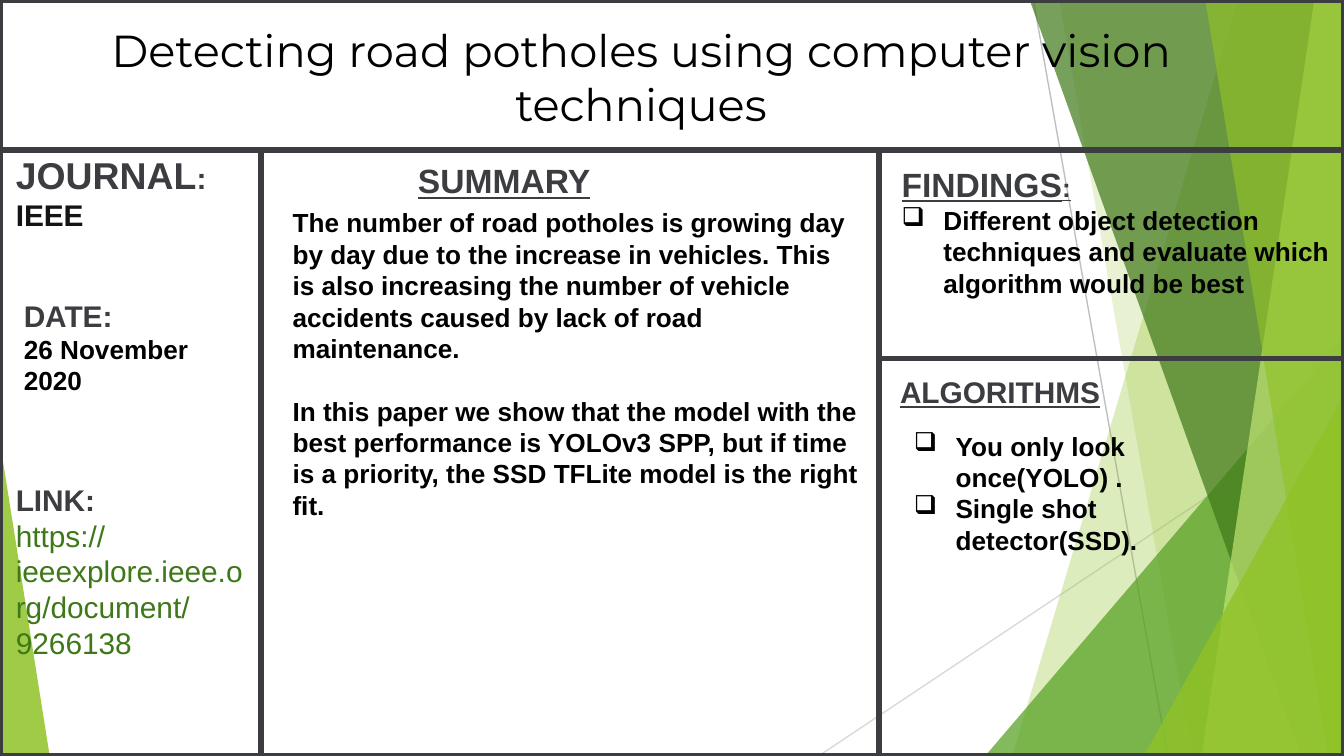
from lxml import etree
from pptx import Presentation
from pptx import util as u
from pptx.dml.color import RGBColor
from pptx.enum import shapes, text
from pptx.oxml.ns import qn

CHARCOAL = RGBColor(0x3C, 0x3D, 0x40)
INK = RGBColor(0x14, 0x14, 0x15)
BLACK = RGBColor(0, 0, 0)
LIME = RGBColor(0x90, 0xC2, 0x26)
GREEN = RGBColor(0x54, 0xA0, 0x21)
FOREST = RGBColor(0x3F, 0x78, 0x19)
PALE = RGBColor(0xC0, 0xE4, 0x74)
SILVER = RGBColor(0xBF, 0xBF, 0xBF)
MIST = RGBColor(0xD9, 0xD9, 0xD9)

WIDTH, HEIGHT = 25.4, 14.29
HEADER = 2.83
LEFT_RULE, RIGHT_RULE, MIDDLE_RULE = 4.93, 16.61, 6.78
INDENT = 0.79


def add_rule(slide, x1, y1, x2, y2, color=CHARCOAL, weight=3):
    rule = slide.shapes.add_connector(
        shapes.MSO_CONNECTOR.STRAIGHT, u.Cm(x1), u.Cm(y1), u.Cm(x2), u.Cm(y2))
    rule.line.color.rgb = color
    rule.line.width = u.Pt(weight)
    etree.SubElement(rule._element.spPr, qn("a:effectLst"))


def tint(facet, color, opacity):
    facet.shadow.inherit = False
    facet.line.fill.background()
    facet.fill.solid()
    facet.fill.fore_color.rgb = color
    swatch = facet._element.spPr.find(qn("a:solidFill"))[0]
    etree.SubElement(swatch, qn("a:alpha"), val=str(opacity * 1000))


def add_pane(slide, top_x, bottom_x, color, opacity):
    outline = slide.shapes.build_freeform(u.Cm(top_x), 0)
    corners = [(WIDTH, 0), (WIDTH, HEIGHT), (bottom_x, HEIGHT)]
    outline.add_line_segments([(u.Cm(x), u.Cm(y)) for x, y in corners], close=True)
    tint(outline.convert_to_shape(), color, opacity)


def add_wedge(slide, x, y, width, apex, color, opacity):
    wedge = slide.shapes.add_shape(
        shapes.MSO_SHAPE.ISOSCELES_TRIANGLE,
        u.Cm(x), u.Cm(y), u.Cm(width), u.Cm(HEIGHT - y))
    wedge.adjustments[0] = apex
    tint(wedge, color, opacity)


def add_box(slide, x, y, width, height, side=0.25, top=0.13):
    box = slide.shapes.add_textbox(u.Cm(x), u.Cm(y), u.Cm(width), u.Cm(height))
    frame = box.text_frame
    frame.word_wrap = True
    frame.margin_left = frame.margin_right = u.Cm(side)
    frame.margin_top = frame.margin_bottom = u.Cm(top)
    return frame


def write(frame, words, size=14, color=BLACK, font="Arial", bold=True, underline=False,
          centered=False, bullet=False, after=0, same_line=False):
    if same_line or not frame.paragraphs[0].runs:
        paragraph = frame.paragraphs[-1]
    else:
        paragraph = frame.add_paragraph()
    if bullet:
        props = paragraph._p.get_or_add_pPr()
        props.set("marL", str(u.Cm(INDENT)))
        props.set("indent", str(-u.Cm(INDENT)))
        etree.SubElement(props, qn("a:buChar"), char="❑")
    if centered:
        paragraph.alignment = text.PP_ALIGN.CENTER
    if after:
        paragraph.space_after = u.Pt(after)
    run = paragraph.add_run()
    run.text = words
    run.font.name = font
    run.font.size = u.Pt(size)
    run.font.bold = bold
    run.font.underline = underline
    run.font.color.rgb = color


def add_backdrop(slide):
    add_rule(slide, 19.53, 0, 22.07, HEIGHT, SILVER, 0.75)
    add_rule(slide, WIDTH, 7.67, 15.47, HEIGHT, MIST, 0.75)
    add_pane(slide, 23.39, 19.13, LIME, 30)
    add_pane(slide, 20.02, 22.53, LIME, 20)
    add_wedge(slide, 18.62, 6.35, 6.78, 1, GREEN, 72)
    add_pane(slide, 19.46, 24.59, FOREST, 70)
    add_pane(slide, 24.84, 22.71, PALE, 70)
    add_pane(slide, 22.78, 25.1, LIME, 65)
    add_wedge(slide, 21.62, 7.47, 3.78, 1, LIME, 80)
    add_wedge(slide, 0, 8.36, 0.94, 0, LIME, 85)


def add_grid(slide):
    border = slide.shapes.add_shape(
        shapes.MSO_SHAPE.RECTANGLE, 0, 0, u.Cm(WIDTH), u.Cm(HEIGHT))
    border.shadow.inherit = False
    border.fill.background()
    border.line.color.rgb = CHARCOAL
    border.line.width = u.Pt(3)
    add_rule(slide, 0, HEADER, WIDTH, HEADER)
    for x in (LEFT_RULE, RIGHT_RULE):
        add_rule(slide, x, HEADER, x, HEIGHT)
    add_rule(slide, RIGHT_RULE, MIDDLE_RULE, WIDTH, MIDDLE_RULE)


def add_source_details(slide):
    journal = add_box(slide, 0.05, 2.74, 4.88, 1.8)
    write(journal, "JOURNAL", size=20, color=CHARCOAL)
    write(journal, ":", size=16, color=CHARCOAL, same_line=True)
    write(journal, "IEEE", size=16, color=INK)

    date = add_box(slide, 0.2, 5.49, 3.86, 3.68)
    write(date, "DATE:", size=16, color=CHARCOAL)
    write(date, "26 November 2020")

    link = add_box(slide, 0.05, 8.97, 4.95, 3)
    write(link, "LINK:", size=16, color=CHARCOAL)
    write(link, "https://ieeexplore.ieee.org/document/9266138",
          size=16, color=FOREST, bold=False)


def add_summary(slide):
    heading = add_box(slide, 7.65, 2.9, 6.12, 1.02)
    write(heading, "SUMMARY", size=18, color=CHARCOAL, underline=True)

    summary = add_box(slide, 5.28, 3.78, 11.2, 6.83)
    write(summary, "The number of road potholes is growing day by day due to the increase "
          "in vehicles. This is also increasing the number of vehicle accidents caused by "
          "lack of road maintenance.", after=16.8)
    write(summary, "In this paper we show that the model with the best performance is "
          "YOLOv3 SPP, but if time is a priority, the SSD TFLite model is the right fit.")


def add_results(slide):
    findings = add_box(slide, 16.79, 2.97, 8.66, 2.82)
    write(findings, "FINDINGS", size=18, color=CHARCOAL, underline=True)
    write(findings, ":", color=CHARCOAL, underline=True, same_line=True)
    write(findings, "Different object detection techniques and evaluate which algorithm "
          "would be best", bullet=True)

    heading = add_box(slide, 16.76, 6.93, 4.5, 0.94)
    write(heading, "ALGORITHMS", size=16, color=CHARCOAL, underline=True)

    algorithms = add_box(slide, 17.02, 8, 7.39, 3.25)
    for name in ("You only look once(YOLO) .", "Single shot detector(SSD)."):
        write(algorithms, name, bullet=True)


def main():
    deck = Presentation()
    deck.slide_width, deck.slide_height = u.Cm(WIDTH), u.Cm(HEIGHT)
    slide = deck.slides.add_slide(deck.slide_layouts[6])
    add_backdrop(slide)
    add_grid(slide)
    title = add_box(slide, 0.2, 0.33, 23.83, 1.9, side=0.18, top=0.1)
    write(title, "Detecting road potholes using computer vision techniques",
          size=24, font="Montserrat", bold=False, centered=True)
    add_source_details(slide)
    add_summary(slide)
    add_results(slide)
    deck.save("out.pptx")


if __name__ == "__main__":
    main()
